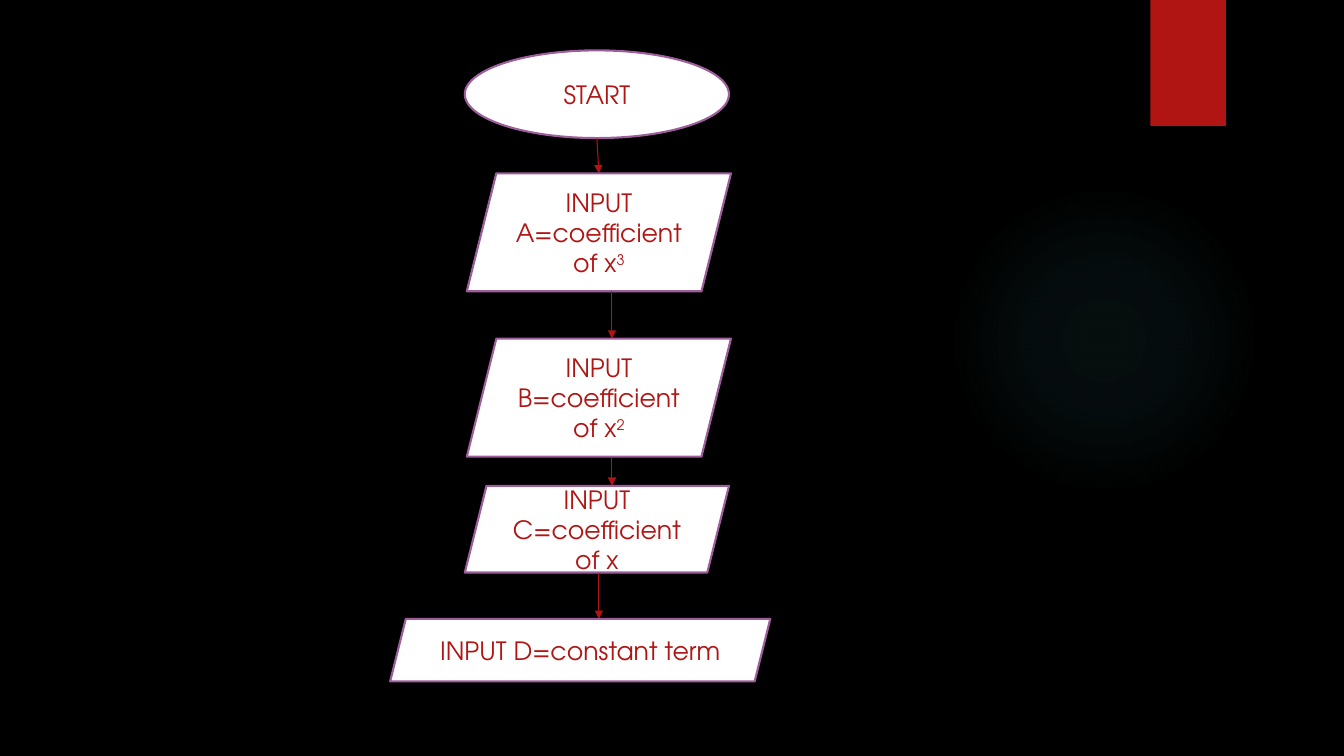
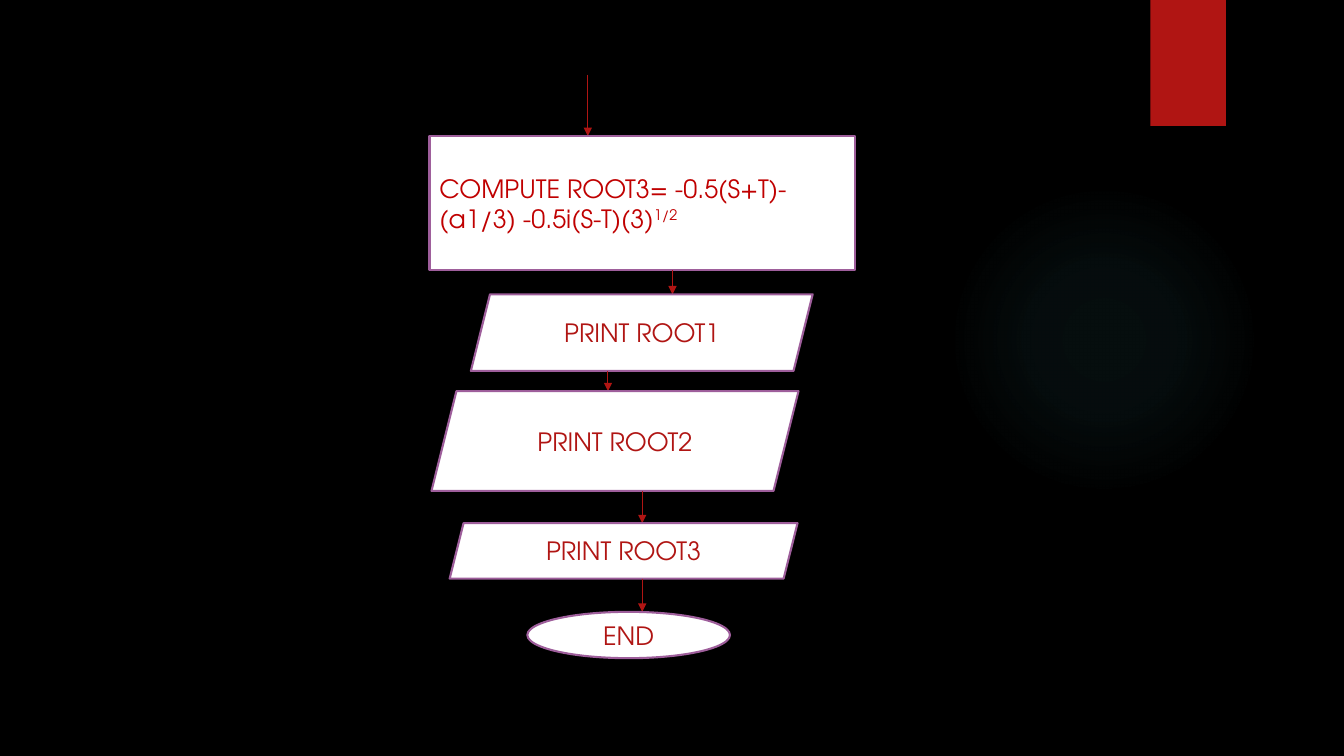
from dataclasses import dataclass
from typing import Optional

from lxml import etree
from pptx import Presentation
from pptx.dml.color import RGBColor
from pptx.enum.shapes import MSO_CONNECTOR, MSO_SHAPE
from pptx.enum.text import MSO_ANCHOR, PP_ALIGN
from pptx.oxml import parse_xml
from pptx.oxml.ns import nsdecls, qn
from pptx.util import Inches, Pt

OVAL = MSO_SHAPE.OVAL
RECTANGLE = MSO_SHAPE.RECTANGLE
PARALLELOGRAM = MSO_SHAPE.PARALLELOGRAM
STRAIGHT = MSO_CONNECTOR.STRAIGHT
MIDDLE = MSO_ANCHOR.MIDDLE
LEFT, CENTER = PP_ALIGN.LEFT, PP_ALIGN.CENTER
BLANK_LAYOUT = 6


@dataclass(frozen=True)
class Theme:
    background: RGBColor = RGBColor.from_string("000000")
    accent: RGBColor = RGBColor.from_string("B01513")
    formula: RGBColor = RGBColor.from_string("C00000")
    step_fill: RGBColor = RGBColor.from_string("FFFFFF")
    step_border: RGBColor = RGBColor.from_string("9E5E9B")
    glow: str = "50B9C1"
    glow_stops: tuple = ((0, 7), (36, 6), (69, 0))  # position %, opacity %
    font: str = "TeX Gyre Adventor"
    step_size: Pt = Pt(18)
    border_width: Pt = Pt(1.5)
    arrow_width: Pt = Pt(0.75)
    superscript: str = "30000"


THEME = Theme()


@dataclass(frozen=True)
class Step:
    """One flowchart step; box is left, top, width, height in inches."""
    outline: int
    box: tuple
    text: str
    power: str = ""
    arrow_x: Optional[tuple] = None  # start and end x of the arrow leading in
    align: int = CENTER
    color: RGBColor = THEME.accent


def add_plain_shape(slide, outline, box):
    shape = slide.shapes.add_shape(outline, *map(Inches, box))
    shape.shadow.inherit = False
    shape.line.fill.background()
    return shape


def add_glow(slide, box):
    glow = add_plain_shape(slide, OVAL, box)
    stops = "".join(
        f'<a:gs pos="{position * 1000}"><a:srgbClr val="{THEME.glow}">'
        f'<a:alpha val="{opacity * 1000}"/></a:srgbClr></a:gs>'
        for position, opacity in THEME.glow_stops)
    gradient = parse_xml(
        f'<a:gradFill {nsdecls("a")}><a:gsLst>{stops}</a:gsLst>'
        '<a:path path="circle"><a:fillToRect l="50000" t="50000" '
        'r="50000" b="50000"/></a:path></a:gradFill>')
    glow._element.spPr.find(qn("a:prstGeom")).addnext(gradient)


def add_ribbon(slide, box):
    ribbon = add_plain_shape(slide, RECTANGLE, box)
    ribbon.fill.solid()
    ribbon.fill.fore_color.rgb = THEME.accent


def add_arrow(slide, start, end):
    arrow = slide.shapes.add_connector(STRAIGHT, *map(Inches, start + end))
    arrow.line.color.rgb = THEME.accent
    arrow.line.width = THEME.arrow_width
    etree.SubElement(arrow.line._get_or_add_ln(), qn("a:tailEnd"), type="triangle")
    etree.SubElement(arrow._element.spPr, qn("a:effectLst"))


def add_step(slide, step):
    shape = add_plain_shape(slide, step.outline, step.box)
    shape.fill.solid()
    shape.fill.fore_color.rgb = THEME.step_fill
    shape.line.color.rgb = THEME.step_border
    shape.line.width = THEME.border_width

    frame = shape.text_frame
    frame.word_wrap = True
    frame.vertical_anchor = MIDDLE
    paragraph = frame.paragraphs[0]
    paragraph.alignment = step.align
    for text, raised in ((step.text, False), (step.power, True)):
        if not text:
            continue
        run = paragraph.add_run()
        run.text = text
        run.font.name = THEME.font
        run.font.size = THEME.step_size
        run.font.color.rgb = step.color
        if raised:
            run._r.get_or_add_rPr().set("baseline", THEME.superscript)


def add_flowchart(slide, steps, entry_y=0):
    """Stack the steps; each arrow runs from the step above to the next top."""
    arrow_top = entry_y
    for step in steps:
        _, top, _, height = step.box
        if step.arrow_x:
            start_x, end_x = step.arrow_x
            add_arrow(slide, (start_x, arrow_top), (end_x, top))
        add_step(slide, step)
        arrow_top = top + height


def add_flow_slide(prs, steps, entry_y=0):
    slide = prs.slides.add_slide(prs.slide_layouts[BLANK_LAYOUT])
    slide.background.fill.solid()
    slide.background.fill.fore_color.rgb = THEME.background
    add_glow(slide, (9.41, 1.83, 3.08, 3.08))
    add_ribbon(slide, (11.41, 0, 0.75, 1.25))
    add_flowchart(slide, steps, entry_y)


# Reading the coefficients
INPUT_STEPS = (
    Step(OVAL, (4.61, 0.5, 2.62, 0.87), "START"),
    Step(PARALLELOGRAM, (4.63, 1.72, 2.62, 1.17),
         "INPUT A=coefficient of x", "3", (5.92, 5.94)),
    Step(PARALLELOGRAM, (4.63, 3.36, 2.62, 1.17),
         "INPUT B=coefficient of x", "2", (6.07, 6.07)),
    Step(PARALLELOGRAM, (4.61, 4.82, 2.62, 0.86),
         "INPUT C=coefficient of x", arrow_x=(6.07, 6.07)),
    Step(PARALLELOGRAM, (3.87, 6.14, 3.77, 0.62),
         "INPUT D=constant term", arrow_x=(5.94, 5.94)),
)

# Computing the last root and printing all three
OUTPUT_STEPS = (
    Step(RECTANGLE, (4.26, 1.35, 4.22, 1.33),
         "COMPUTE ROOT3= -0.5(S+T)-(a1/3) -0.5i(S-T)(3)", "1/2",
         (5.83, 5.83), LEFT, THEME.formula),
    Step(PARALLELOGRAM, (4.67, 2.92, 3.39, 0.76),
         "PRINT ROOT1", arrow_x=(6.67, 6.67)),
    Step(PARALLELOGRAM, (4.28, 3.88, 3.64, 0.99),
         "PRINT ROOT2", arrow_x=(6.03, 6.03)),
    Step(PARALLELOGRAM, (4.46, 5.19, 3.45, 0.55),
         "PRINT ROOT3", arrow_x=(6.37, 6.37)),
    Step(OVAL, (5.23, 6.07, 2.01, 0.46), "END", arrow_x=(6.37, 6.37)),
)


def main():
    prs = Presentation()
    prs.slide_width, prs.slide_height = Inches(13.33), Inches(7.5)
    add_flow_slide(prs, INPUT_STEPS)
    add_flow_slide(prs, OUTPUT_STEPS, entry_y=0.74)
    prs.save("out.pptx")


if __name__ == "__main__":
    main()
